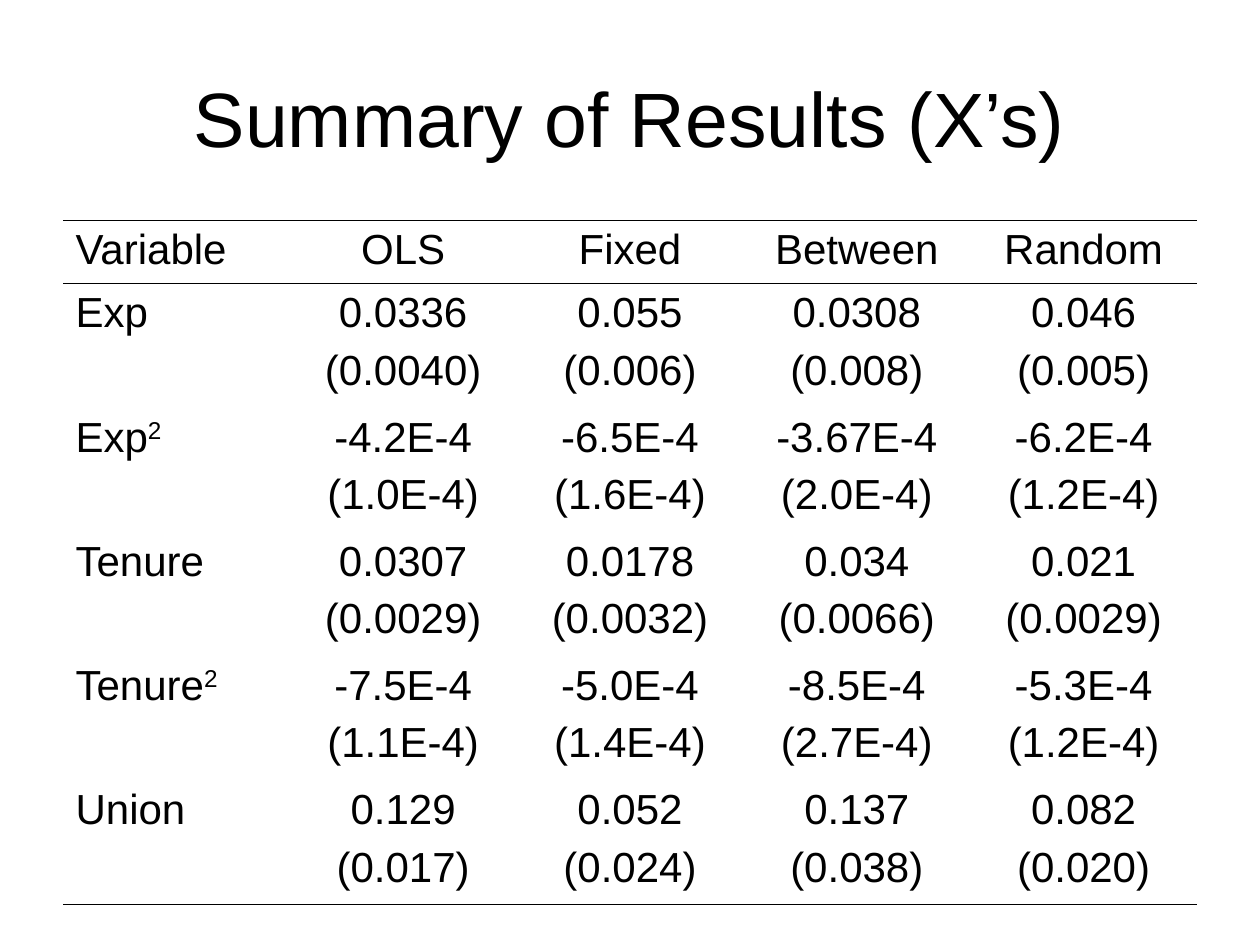
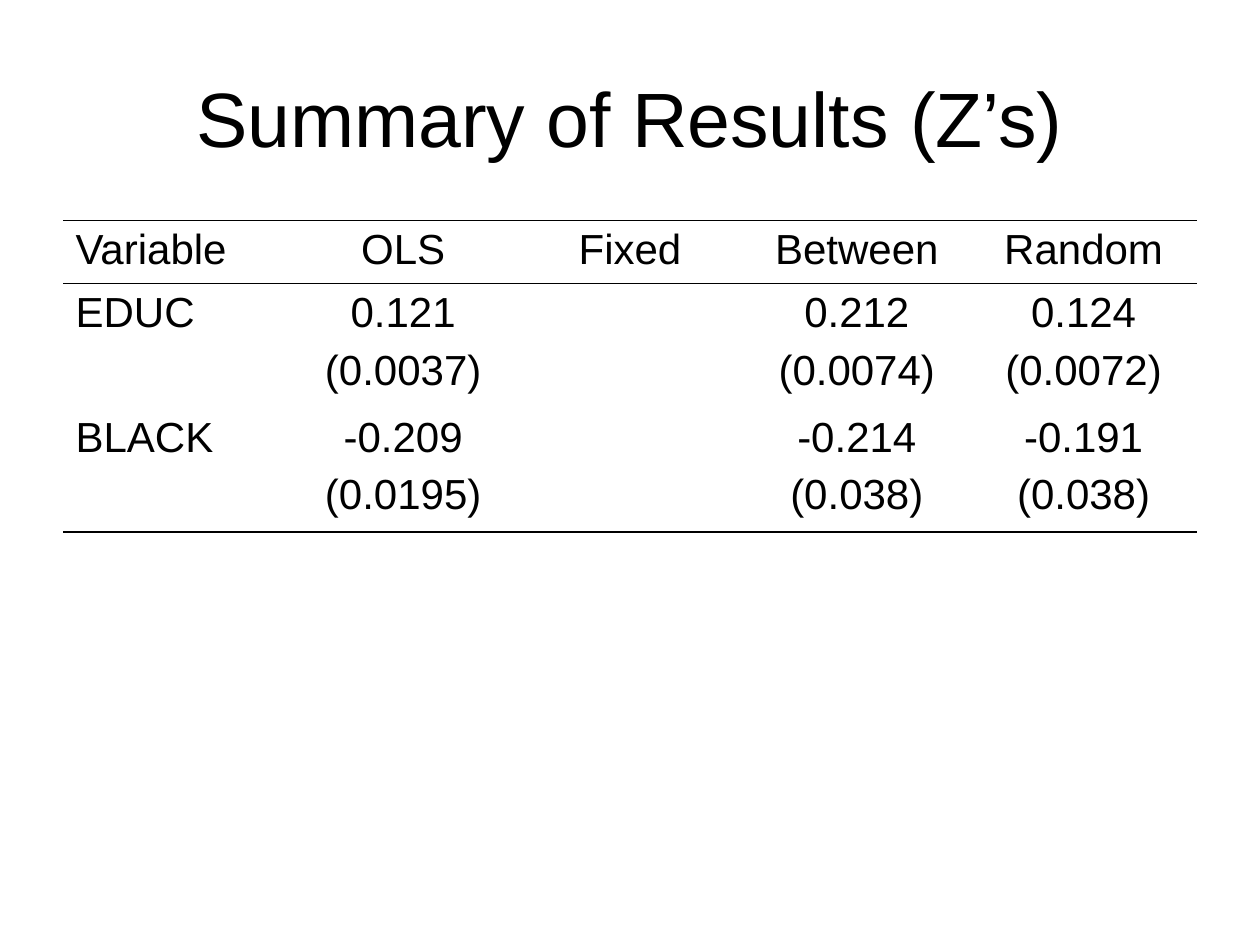
"""Build two slides that tabulate regression results for the X and Z variables."""
from lxml import etree
from pptx import Presentation
from pptx.dml.color import RGBColor
from pptx.enum.text import MSO_ANCHOR, PP_ALIGN
from pptx.oxml.ns import qn
from pptx.util import Inches, Pt

LEFT, CENTER = PP_ALIGN.LEFT, PP_ALIGN.CENTER
MIDDLE = MSO_ANCHOR.MIDDLE

HEADINGS = ["Variable", "OLS", "Fixed", "Between", "Random"]
RESULTS = [
    {
        "title": "Summary of Results (X’s)",
        "rows": [
            ("Exp", "", [("0.0336", "(0.0040)"), ("0.055", "(0.006)"),
                         ("0.0308", "(0.008)"), ("0.046", "(0.005)")]),
            ("Exp", "2", [("-4.2E-4", "(1.0E-4)"), ("-6.5E-4", "(1.6E-4)"),
                          ("-3.67E-4", "(2.0E-4)"), ("-6.2E-4", "(1.2E-4)")]),
            ("Tenure", "", [("0.0307", "(0.0029)"), ("0.0178", "(0.0032)"),
                            ("0.034", "(0.0066)"), ("0.021", "(0.0029)")]),
            ("Tenure", "2", [("-7.5E-4", "(1.1E-4)"), ("-5.0E-4", "(1.4E-4)"),
                             ("-8.5E-4", "(2.7E-4)"), ("-5.3E-4", "(1.2E-4)")]),
            ("Union", "", [("0.129", "(0.017)"), ("0.052", "(0.024)"),
                           ("0.137", "(0.038)"), ("0.082", "(0.020)")]),
        ],
    },
    {
        "title": "Summary of Results (Z’s)",
        "rows": [
            ("EDUC", "", [("0.121", "(0.0037)"), (),
                          ("0.212", "(0.0074)"), ("0.124", "(0.0072)")]),
            ("BLACK", "", [("-0.209", "(0.0195)"), (),
                           ("-0.214", "(0.038)"), ("-0.191", "(0.038)")]),
        ],
    },
]

COLORS = {"text": "000000", "rule": "000000", "background": "FFFFFF"}
TITLE_FONT = {"name": "Arial", "size": Pt(44), "bold": False}
TABLE_FONT = {"name": "Arial", "size": Pt(24), "bold": False}
TITLE_BOX = {"left": Inches(0.5), "top": Inches(0.3),
             "width": Inches(9), "height": Inches(1.25)}
TABLE_LEFT, TABLE_TOP, TABLE_WIDTH = Inches(0.5), Inches(1.75), Inches(9)
HEADING_HEIGHT, RESULT_HEIGHT = Inches(0.5), Pt(71)
LINE_GAP = Pt(6)
OUTER_RULE, INNER_RULE = Pt(1.08), Pt(0.45)


def apply_format(target, values):
    for name, value in values.items():
        setattr(target, name, value)


def format_font(font, values):
    apply_format(font, values)
    font.color.rgb = RGBColor.from_string(COLORS["text"])


def add_title(slide, text):
    title = slide.shapes.title
    apply_format(title, TITLE_BOX)
    title.text_frame.text = text
    title.text_frame.vertical_anchor = MIDDLE
    paragraph = title.text_frame.paragraphs[0]
    paragraph.alignment = CENTER
    format_font(paragraph.runs[0].font, TITLE_FONT)


def write_cell(cell, lines, alignment, superscript=""):
    frame = cell.text_frame
    for index, line in enumerate(lines):
        paragraph = frame.add_paragraph() if index else frame.paragraphs[0]
        paragraph.alignment = alignment
        if index:
            paragraph.space_before = LINE_GAP
        run = paragraph.add_run()
        run.text = line
        format_font(run.font, TABLE_FONT)
    if superscript:
        run = paragraph.add_run()
        run.text = superscript
        format_font(run.font, TABLE_FONT)
        run._r.get_or_add_rPr().set("baseline", "30000")


def rule_cell(cell, top, bottom):
    properties = cell._tc.get_or_add_tcPr()
    for side, width in {"L": 0, "R": 0, "T": top, "B": bottom}.items():
        line = etree.SubElement(properties, qn(f"a:ln{side}"), w=str(int(width)))
        if width:
            fill = etree.SubElement(line, qn("a:solidFill"))
            etree.SubElement(fill, qn("a:srgbClr"), val=COLORS["rule"])
        else:
            etree.SubElement(line, qn("a:noFill"))
    cell.fill.background()


def add_results_table(slide, results):
    last = len(results)
    height = HEADING_HEIGHT + last * RESULT_HEIGHT
    table = slide.shapes.add_table(last + 1, len(HEADINGS), TABLE_LEFT, TABLE_TOP,
                                   TABLE_WIDTH, height).table
    apply_format(table, {"first_row": False, "horz_banding": False})
    for index, row in enumerate(table.rows):
        row.height = RESULT_HEIGHT if index else HEADING_HEIGHT
        top = {0: OUTER_RULE, 1: INNER_RULE}.get(index, 0)
        bottom = {0: INNER_RULE, last: OUTER_RULE}.get(index, 0)
        for cell in row.cells:
            rule_cell(cell, top, bottom)
    for column, heading in enumerate(HEADINGS):
        write_cell(table.cell(0, column), [heading], CENTER if column else LEFT)
    for row, (variable, power, estimates) in enumerate(results, 1):
        write_cell(table.cell(row, 0), [variable], LEFT, power)
        for column, estimate in enumerate(estimates, 1):
            write_cell(table.cell(row, column), estimate, CENTER)


def main():
    presentation = Presentation()
    presentation.slide_width, presentation.slide_height = Inches(10), Inches(7.5)
    background = presentation.slide_master.background.fill
    background.solid()
    background.fore_color.rgb = RGBColor.from_string(COLORS["background"])
    title_only = presentation.slide_layouts.get_by_name("Title Only")
    for result in RESULTS:
        slide = presentation.slides.add_slide(title_only)
        add_title(slide, result["title"])
        add_results_table(slide, result["rows"])
    presentation.save("out.pptx")


if __name__ == "__main__":
    main()
